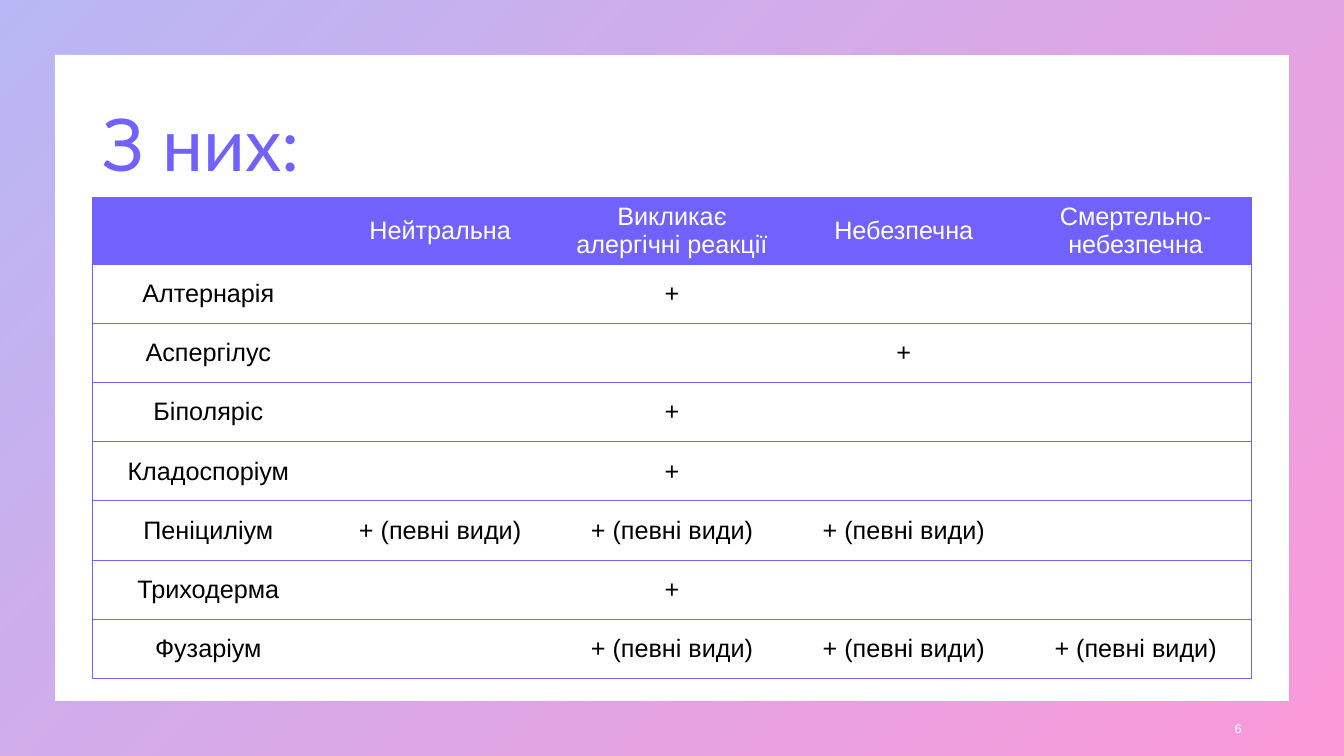
"""Build a slide with a table of moulds and their danger to people."""
from dataclasses import dataclass

from lxml.etree import SubElement
from pptx import Presentation
from pptx.dml.color import RGBColor
from pptx.enum.shapes import MSO_SHAPE
from pptx.enum.text import MSO_ANCHOR, MSO_AUTO_SIZE, PP_ALIGN
from pptx.oxml import parse_xml
from pptx.oxml.ns import nsdecls, qn
from pptx.util import Pt

COLORS = {
    "violet": "7162FE",
    "indigo": "4D4EE6",
    "pink": "F900A0",
    "white": "FFFFFF",
    "black": "000000",
}
WIDTH, HEIGHT = 960, 540
LEFT, CONTENT_WIDTH = 66, 828
HEADER_HEIGHT, ROW_HEIGHT = 48, 42.2
PLAIN_TABLE_STYLE = "{2D5ABB26-0587-4C30-8999-92F81FD0307C}"
SOME = "+ (певні види)"
HEADINGS = ("", "Нейтральна", "Викликає алергічні реакції",
            "Небезпечна", "Смертельно-небезпечна")


@dataclass(frozen=True)
class Mould:
    """A mould and its mark under each degree of danger."""

    name: str
    neutral: str = ""
    allergenic: str = ""
    dangerous: str = ""
    deadly: str = ""

    def cells(self) -> tuple[str, ...]:
        """Return the texts of the table row."""
        return (self.name, self.neutral, self.allergenic, self.dangerous, self.deadly)


MOULDS = (
    Mould("Алтернарія", allergenic="+"),
    Mould("Аспергілус", dangerous="+"),
    Mould("Біполяріс", allergenic="+"),
    Mould("Кладоспоріум", allergenic="+"),
    Mould("Пеніциліум", neutral=SOME, allergenic=SOME, dangerous=SOME),
    Mould("Триходерма", allergenic="+"),
    Mould("Фузаріум", allergenic=SOME, dangerous=SOME, deadly=SOME),
)


def color(name: str) -> RGBColor:
    """Return a named colour."""
    return RGBColor.from_string(COLORS[name])


def add_run(paragraph, text: str, size: float, font_name: str, color_name: str):
    """Add one formatted run to a paragraph."""
    run = paragraph.add_run()
    run.text = text
    run.font.size = Pt(size)
    run.font.name = font_name
    run.font.bold = False
    run.font.color.rgb = color(color_name)
    return run


def add_frame(slide) -> None:
    """Put the translucent gradient frame behind everything else."""
    frame = slide.shapes.add_shape(MSO_SHAPE.FRAME, 0, 0, Pt(WIDTH), Pt(HEIGHT))
    frame.adjustments[0] = 0.072
    frame.shadow.inherit = False
    frame.line.fill.background()
    frame.fill.gradient()
    frame.fill.gradient_angle = 315
    for stop, name in zip(frame.fill.gradient_stops, ("indigo", "pink")):
        stop.color.rgb = color(name)
    for element in frame.element.spPr.iter(qn("a:srgbClr")):
        SubElement(element, qn("a:alpha"), val="40000")
    slide.shapes._spTree.insert(2, frame.element)


def set_title(slide) -> None:
    """Place and write the title."""
    title = slide.shapes.title
    title.left, title.top = Pt(LEFT), Pt(53.3)
    title.width, title.height = Pt(CONTENT_WIDTH), Pt(104.4)
    title.text_frame.auto_size = MSO_AUTO_SIZE.NONE
    title.text_frame.vertical_anchor = MSO_ANCHOR.MIDDLE
    paragraph = title.text_frame.paragraphs[0]
    paragraph.alignment = PP_ALIGN.LEFT
    paragraph.line_spacing = 0.9
    add_run(paragraph, "З них:", 52, "Lato", "violet")


def set_borders(cell, sides: dict[str, bool]) -> None:
    """Draw or hide each side of a cell."""
    properties = cell._tc.get_or_add_tcPr()
    for index, (side, visible) in enumerate(sides.items()):
        fill = (f'<a:solidFill><a:srgbClr val="{COLORS["violet"]}"/></a:solidFill>'
                if visible else "<a:noFill/>")
        properties.insert(index, parse_xml(
            f'<a:ln{side} {nsdecls("a")} w="{Pt(0.5)}">{fill}</a:ln{side}>'))


def add_table(slide) -> None:
    """Add the table of moulds."""
    rows = [HEADINGS, *(mould.cells() for mould in MOULDS)]
    columns = len(HEADINGS)
    height = HEADER_HEIGHT + ROW_HEIGHT * len(MOULDS)
    table_shape = slide.shapes.add_table(
        len(rows), columns, Pt(LEFT), Pt(141), Pt(CONTENT_WIDTH), Pt(height))
    table = table_shape.table
    table.horz_banding = False
    table._tbl.tblPr.find(qn("a:tableStyleId")).text = PLAIN_TABLE_STYLE
    for row_index, texts in enumerate(rows):
        is_header = row_index == 0
        table.rows[row_index].height = Pt(HEADER_HEIGHT if is_header else ROW_HEIGHT)
        for column_index, text in enumerate(texts):
            cell = table.cell(row_index, column_index)
            cell.vertical_anchor = MSO_ANCHOR.MIDDLE
            if is_header:
                cell.fill.solid()
                cell.fill.fore_color.rgb = color("violet")
            else:
                cell.fill.background()
            set_borders(cell, {"L": column_index == 0, "R": column_index == columns - 1,
                               "T": True, "B": True})
            paragraph = cell.text_frame.paragraphs[0]
            paragraph.alignment = PP_ALIGN.CENTER
            if text:
                add_run(paragraph, text, 18, "Arial", "white" if is_header else "black")


def add_page_number(slide) -> None:
    """Add the page number at the lower right."""
    box = slide.shapes.add_textbox(Pt(678), Pt(506), Pt(216), Pt(28.8))
    box.text_frame.word_wrap = True
    box.text_frame.vertical_anchor = MSO_ANCHOR.MIDDLE
    paragraph = box.text_frame.paragraphs[0]
    paragraph.alignment = PP_ALIGN.RIGHT
    run = add_run(paragraph, "6", 9, "Arial", "white")
    run.font._element.set("spc", "150")


def main() -> None:
    """Build and save the presentation."""
    presentation = Presentation()
    presentation.slide_width, presentation.slide_height = Pt(WIDTH), Pt(HEIGHT)
    slide = presentation.slides.add_slide(presentation.slide_layouts[5])
    add_frame(slide)
    set_title(slide)
    add_table(slide)
    add_page_number(slide)
    presentation.save("out.pptx")


if __name__ == "__main__":
    main()
